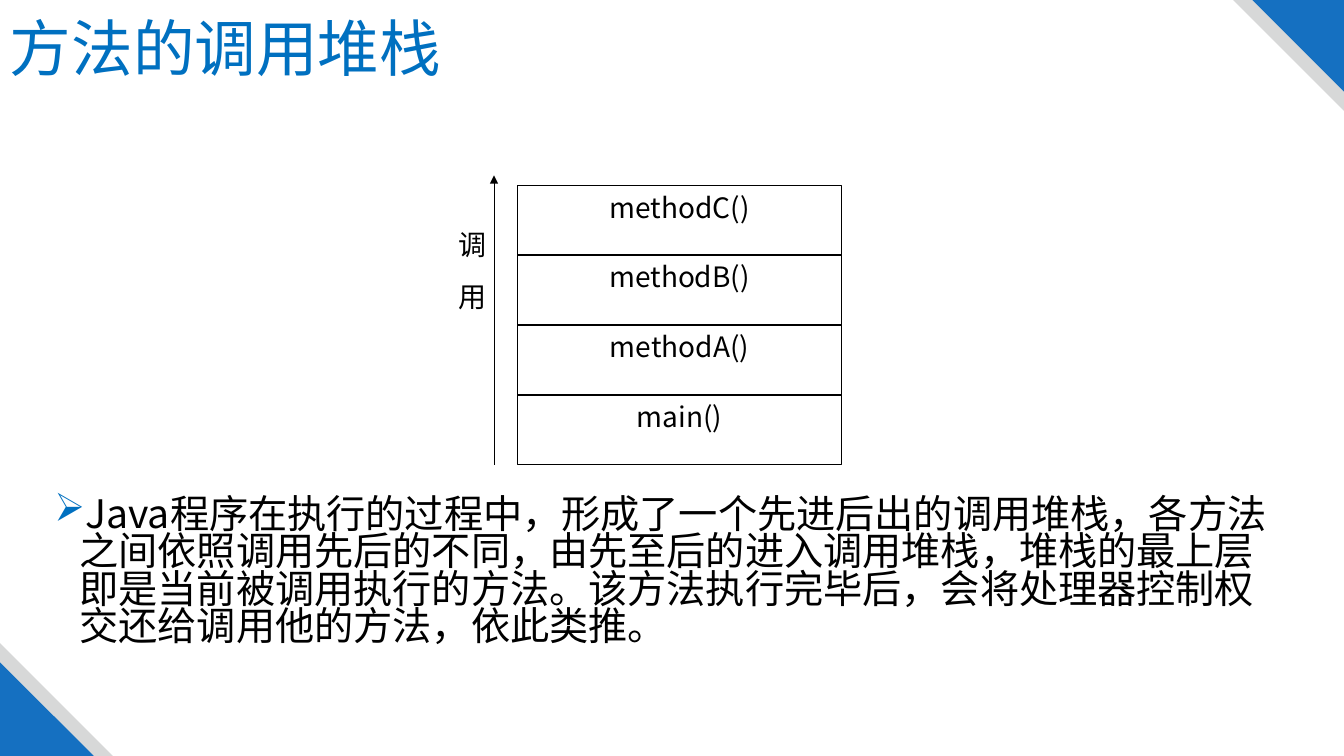
from lxml import etree
from pptx import Presentation
from pptx.dml.color import RGBColor
from pptx.enum import shapes, text
from pptx.oxml import ns
from pptx.util import Inches, Pt

FONT = "Noto Sans CJK SC"
BLACK = RGBColor(0x00, 0x00, 0x00)
TITLE_BLUE = RGBColor(0x00, 0x70, 0xC0)
CORNER_BLUE = RGBColor(0x15, 0x70, 0xC1)
CORNER_GRAY = RGBColor(0xD7, 0xD8, 0xD8)

SLIDE_WIDTH, SLIDE_HEIGHT = 13.33, 7.5
STACK_LEFT, STACK_TOP = 5.13, 1.84
FRAME_WIDTH, FRAME_HEIGHT, FRAME_STEP = 3.22, 0.7, 0.69
METHODS = ["methodC()", "methodB()", "methodA()", "main()"]
EXPLANATION = (
    "Java程序在执行的过程中，形成了一个先进后出的调用堆栈，"
    "各方法之间依照调用先后的不同，由先至后的进入调用堆栈，"
    "堆栈的最上层即是当前被调用执行的方法。"
    "该方法执行完毕后，会将处理器控制权交还给调用他的方法，依此类推。"
)


def add_corner(slide, left, top, size, color, rotation=0):
    triangle = slide.shapes.add_shape(
        shapes.MSO_SHAPE.RIGHT_TRIANGLE,
        Inches(left), Inches(top), Inches(size), Inches(size))
    triangle.rotation = rotation
    triangle.shadow.inherit = False
    triangle.fill.solid()
    triangle.fill.fore_color.rgb = color
    triangle.line.fill.background()


def write_run(paragraph, content, size, color=BLACK):
    """Add a run with the font set for Latin and East Asian letters."""
    run = paragraph.add_run()
    run.text = content
    run.font.size = Pt(size)
    run.font.color.rgb = color
    run.font.name = FONT
    properties = run._r.get_or_add_rPr()
    etree.SubElement(properties, ns.qn("a:ea"), typeface=FONT)
    return properties


def add_text_box(slide, left, top, width, height):
    box = slide.shapes.add_textbox(
        Inches(left), Inches(top), Inches(width), Inches(height))
    box.text_frame.word_wrap = True
    return box.text_frame


def add_title(slide):
    frame = add_text_box(slide, 0, 0, 8.12, 1.02)
    frame.vertical_anchor = text.MSO_ANCHOR.MIDDLE
    paragraph = frame.paragraphs[0]
    paragraph.line_spacing = 0.9
    write_run(paragraph, "方法的调用堆栈", 44, TITLE_BLUE)


def add_explanation(slide):
    paragraph = add_text_box(slide, 0.44, 4.89, 12.45, 1.69).paragraphs[0]
    paragraph.line_spacing = 0.8
    paragraph.space_before = Pt(10)
    properties = paragraph._p.get_or_add_pPr()
    properties.set("marL", str(Inches(0.25)))
    properties.set("indent", str(Inches(-0.25)))
    bullet_color = etree.SubElement(properties, ns.qn("a:buClr"))
    etree.SubElement(bullet_color, ns.qn("a:srgbClr"), val=str(TITLE_BLUE))
    etree.SubElement(properties, ns.qn("a:buChar"), char="➢")
    write_run(paragraph, EXPLANATION, 28)


def add_stack_frame(slide, top, method):
    box = slide.shapes.add_shape(
        shapes.MSO_SHAPE.RECTANGLE, Inches(STACK_LEFT), Inches(top),
        Inches(FRAME_WIDTH), Inches(FRAME_HEIGHT))
    box.shadow.inherit = False
    box.fill.background()
    box.line.color.rgb = BLACK
    box.line.width = Pt(0.75)
    box.text_frame.word_wrap = True
    box.text_frame.vertical_anchor = text.MSO_ANCHOR.TOP
    paragraph = box.text_frame.paragraphs[0]
    paragraph.alignment = text.PP_ALIGN.CENTER
    write_run(paragraph, method, 20)


def add_call_arrow(slide):
    arrow = slide.shapes.add_connector(
        shapes.MSO_CONNECTOR.STRAIGHT,
        Inches(4.9), Inches(4.61), Inches(4.9), Inches(1.74))
    arrow.line.color.rgb = BLACK
    arrow.line.width = Pt(0.75)
    etree.SubElement(arrow.line._get_or_add_ln(), ns.qn("a:tailEnd"), type="triangle")
    etree.SubElement(arrow._element.spPr, ns.qn("a:effectLst"))


def add_call_label(slide):
    """Write the vertical label, its two characters spaced apart."""
    frame = add_text_box(slide, 3.44, 2.19, 1.45, 2.15)
    frame._txBody.bodyPr.set("vert", "eaVert")
    properties = write_run(frame.paragraphs[0], "调用", 20)
    properties.set("spc", "1750")


def main():
    presentation = Presentation()
    presentation.slide_width = Inches(SLIDE_WIDTH)
    presentation.slide_height = Inches(SLIDE_HEIGHT)
    slide = presentation.slides.add_slide(presentation.slide_layouts[6])

    for size, color in [(1.1, CORNER_GRAY), (0.91, CORNER_BLUE)]:
        add_corner(slide, SLIDE_WIDTH - size, 0, size, color, rotation=180)
    for size, color in [(1.12, CORNER_GRAY), (0.93, CORNER_BLUE)]:
        add_corner(slide, 0, SLIDE_HEIGHT - size, size, color)

    add_title(slide)
    add_explanation(slide)
    for level, method in enumerate(METHODS):
        add_stack_frame(slide, STACK_TOP + level * FRAME_STEP, method)
    add_call_arrow(slide)
    add_call_label(slide)
    presentation.save("out.pptx")


if __name__ == "__main__":
    main()
